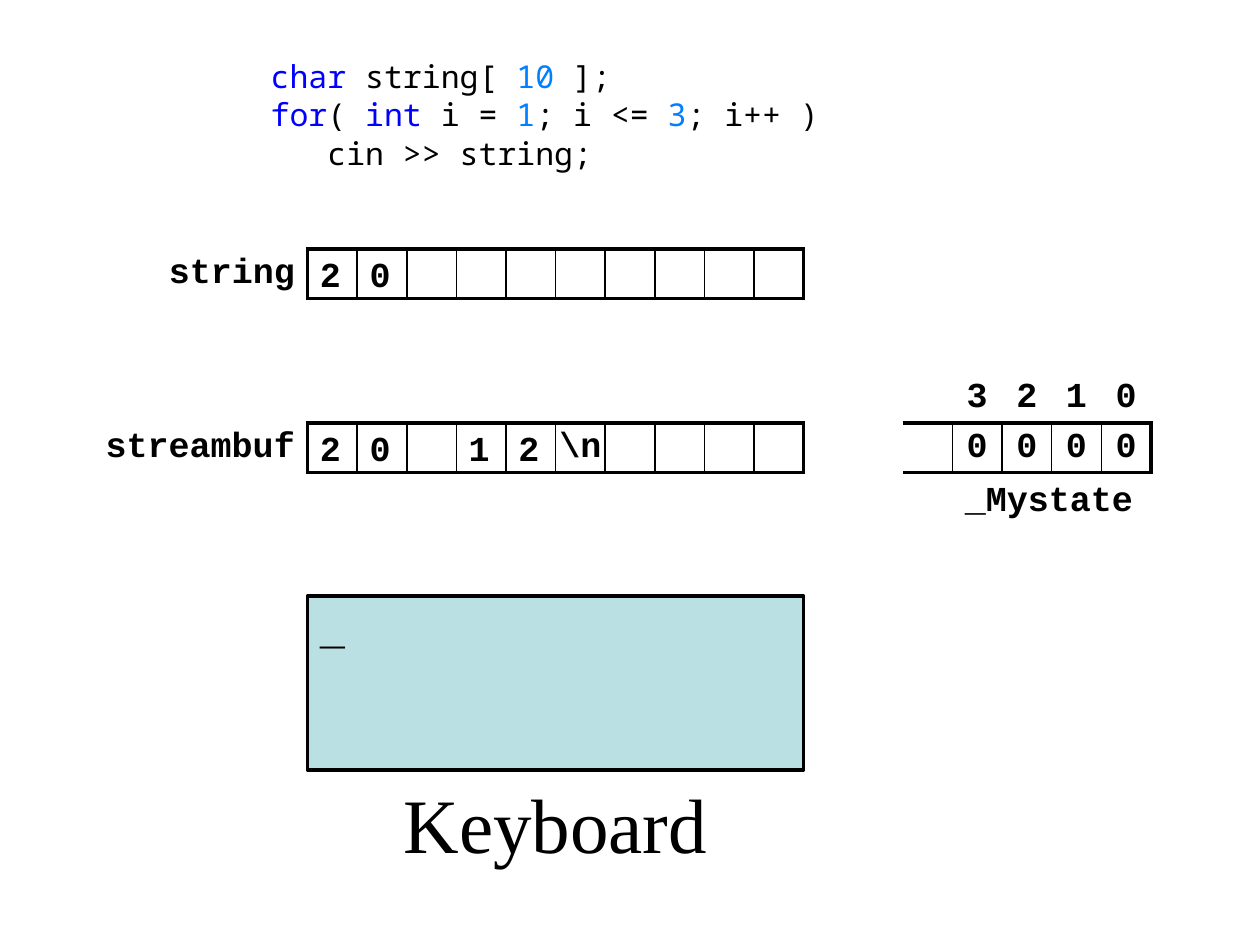
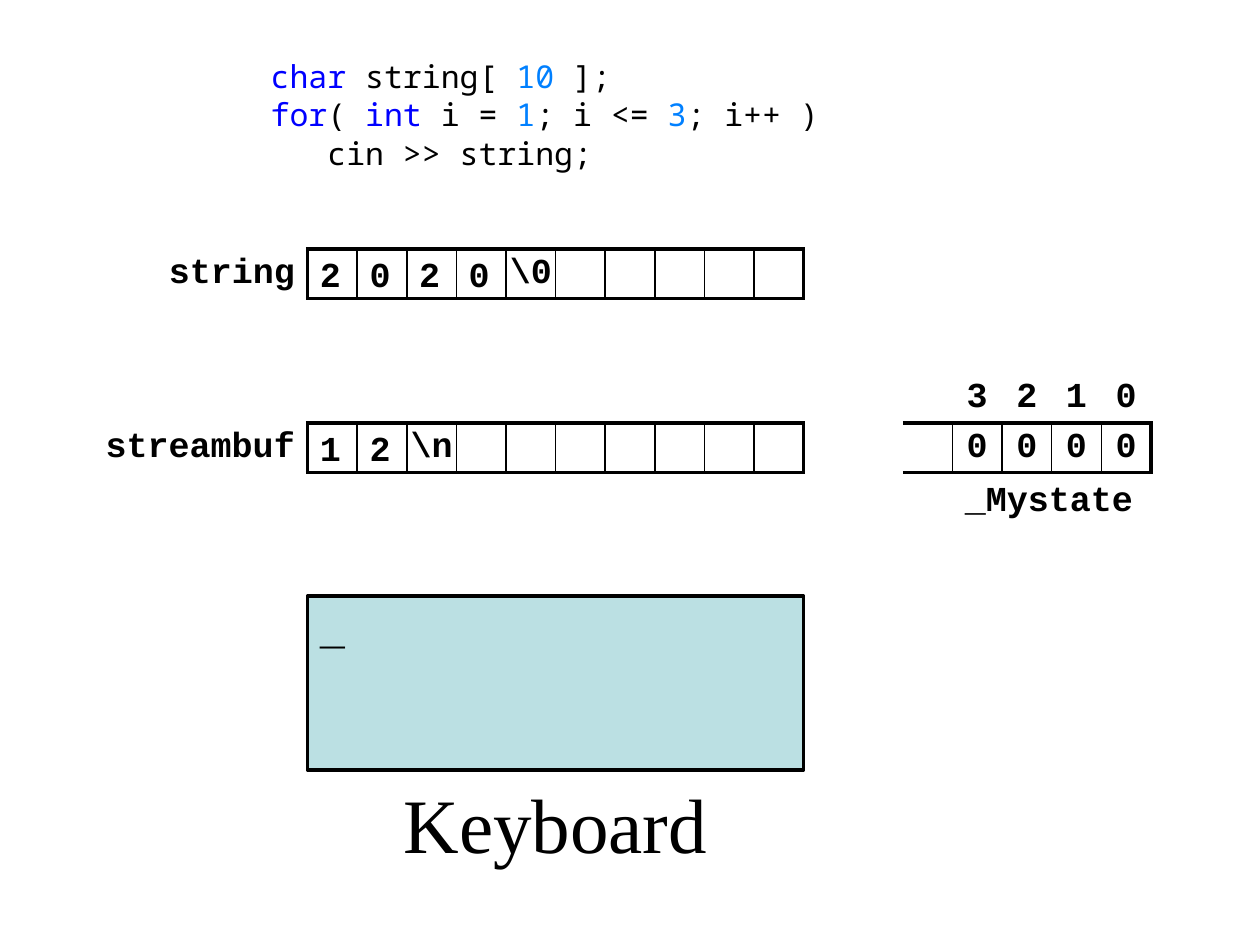
from dataclasses import dataclass
from lxml.etree import SubElement
from pptx import Presentation
from pptx.dml.color import RGBColor
from pptx.enum.shapes import MSO_SHAPE
from pptx.enum.text import MSO_ANCHOR, PP_ALIGN
from pptx.oxml.ns import qn
from pptx.util import Cm, Inches, Pt


@dataclass(frozen=True)
class Theme:
    ink: str = "000000"
    key: str = "0000FF"
    num: str = "0080FF"
    pad: str = "BBE0E3"
    cell: tuple = ("Courier New", 20, True)
    mark: tuple = ("Courier New", 24, True)
    code: tuple = ("Noto Sans Mono", 18, False)
    name: tuple = ("Times New Roman", 44, False)
    thick: float = 2.25
    thin: float = 1


theme = Theme()

# One grid unit is a centimetre: the side of a memory cell.
LEFT, COUNT = 6.2, 10
STRING, BUFFER, BOARD = 5.02, 8.53, 12.02
STATE = LEFT + COUNT + 2
GAP = Inches(0.1)

middle = {"vertical_anchor": MSO_ANCHOR.MIDDLE}
flat = {"margin_left": 0, "margin_right": 0, "margin_top": 0, "margin_bottom": 0, **middle}
label = {**flat, "margin_right": GAP}
plain = {"margin_left": GAP, "margin_right": GAP, "margin_top": Inches(0.05),
         "margin_bottom": Inches(0.05), "word_wrap": True}
digit = {**plain, **middle}
tag = {**flat, "margin_left": GAP, "word_wrap": True}
loose = {**plain, "word_wrap": False, "vertical_anchor": MSO_ANCHOR.TOP}

code = [
    [("char", theme.key), (" string[ ", theme.ink), ("10", theme.num), (" ];", theme.ink)],
    [("for", theme.key), ("( ", theme.ink), ("int", theme.key), (" i = ", theme.ink),
     ("1", theme.num), ("; i <= ", theme.ink), ("3", theme.num), ("; i++ )", theme.ink)],
    [("cin >> string;", theme.ink)],
]
steps = [
    {"string": ["2", "0"], "streambuf": ["2", "0", "", "1", "2", "\\n"]},
    {"string": ["2", "0", "2", "0", "\\0"], "streambuf": ["1", "2", "\\n"]},
]


def write(box, lines, style, form, align=PP_ALIGN.LEFT, space=0):
    """Fill a text frame or table cell with lines of (text, colour) runs."""
    for key, value in form.items():
        setattr(box, key, value)
    frame = getattr(box, "text_frame", box)
    face, size, bold = style
    for i, line in enumerate(lines):
        para = frame.add_paragraph() if i else frame.paragraphs[0]
        para.alignment, para.space_before = align, Pt(space)
        for text, ink in line:
            run = para.add_run()
            run.text = text
            looks = {"name": face, "size": Pt(size), "bold": bold}
            for key, value in looks.items():
                setattr(run.font, key, value)
            run.font.color.rgb = RGBColor.from_string(ink)
    return frame


def grid(slide, left, top, wide, rows, named):
    """Add a table whose last row is boxed; a named one starts with a label."""
    last, end = len(rows) - 1, len(rows[0]) - 1
    frame = slide.shapes.add_table(len(rows), end + 1, Cm(left), Cm(top),
                                   Cm(wide + end), Cm(len(rows)))
    table = frame.table
    table.first_row = table.horz_banding = False
    for c, col in enumerate(table.columns):
        col.width = Cm(1 if c else wide)
    for r, row in enumerate(rows):
        table.rows[r].height = Cm(1)
        for c, text in enumerate(row):
            cell, first = table.cell(r, c), named and c == 0
            line = [(text, theme.ink)] if text else []
            write(cell, [line], theme.cell, label if first else flat,
                  PP_ALIGN.RIGHT if first else PP_ALIGN.CENTER)
            edges = dict.fromkeys(("lnL", "lnR", "lnT", "lnB"), 0)
            if r == last:
                edges["lnL"] = 0 if c == 0 else theme.thick if named and c == 1 else theme.thin
                edges["lnR"] = theme.thick if first or c == end else theme.thin
            if not first:
                edges["lnB"] = theme.thick
                edges["lnT"] = theme.thick if r == last else 0
            props = cell._tc.get_or_add_tcPr()
            for edge, width in edges.items():
                rule = SubElement(props, qn("a:" + edge), w=str(int(Pt(width))))
                if width:
                    fill = SubElement(rule, qn("a:solidFill"))
                    SubElement(fill, qn("a:srgbClr"), val=theme.ink)
                else:
                    SubElement(rule, qn("a:noFill"))
            cell.fill.background()


deck = Presentation()
deck.slide_width, deck.slide_height = Inches(10), Inches(7.5)

for step in steps:
    slide = deck.slides.add_slide(deck.slide_layouts[6])
    shapes = slide.shapes

    # Program text, its loop body indented by three letters
    box = shapes.add_textbox(Inches(2.05), Inches(0.4), Inches(4.53), Inches(1.18))
    frame = write(box.text_frame, code, theme.code, {**plain, "margin_right": Inches(0.04)},
                  space=0.6)
    frame.paragraphs[-1]._p.get_or_add_pPr().set("marL", str(int(Inches(0.45))))

    # Memory rows: escapes sit in the cells, digits lie on top
    for name, top, wide, blank in (("streambuf", BUFFER, 5.5, 1), ("string", STRING, 3, 0)):
        data = step[name] + [""] * (COUNT - len(step[name]))
        row = [name] + [text if len(text) > 1 else "" for text in data]
        rows = [[""] * len(row)] * blank + [row]
        grid(slide, LEFT - wide, top - blank, wide, rows, True)
        for i, text in enumerate(data):
            if len(text) == 1:
                box = shapes.add_textbox(Cm(LEFT + i), Cm(top), Cm(1), Cm(1))
                write(box.text_frame, [[(text, theme.ink)]], theme.cell, digit, space=4)

    # Stream state bits
    grid(slide, STATE, BUFFER - 1, 1, [["", *"3210"], ["", *"0000"]], False)
    box = shapes.add_textbox(Cm(STATE + 1), Cm(BUFFER + 1), Cm(4), Cm(1))
    write(box.text_frame, [[("_Mystate", theme.ink)]], theme.cell, tag)

    # Keyboard with its cursor and caption
    board = shapes.add_shape(MSO_SHAPE.RECTANGLE, Cm(LEFT), Cm(BOARD), Cm(COUNT), Cm(3.5))
    board.shadow.inherit = False
    board.fill.solid()
    board.fill.fore_color.rgb = RGBColor.from_string(theme.pad)
    board.line.color.rgb = RGBColor.from_string(theme.ink)
    board.line.width = Pt(theme.thick)
    write(board.text_frame, [[("_", theme.ink)]], theme.mark, loose)
    box = shapes.add_textbox(Cm(LEFT + 1.5), Cm(BOARD + 3.5), Cm(COUNT - 3), Cm(2.5))
    write(box.text_frame, [[("Keyboard", theme.ink)]], theme.name, loose, PP_ALIGN.CENTER)

deck.save("out.pptx")
